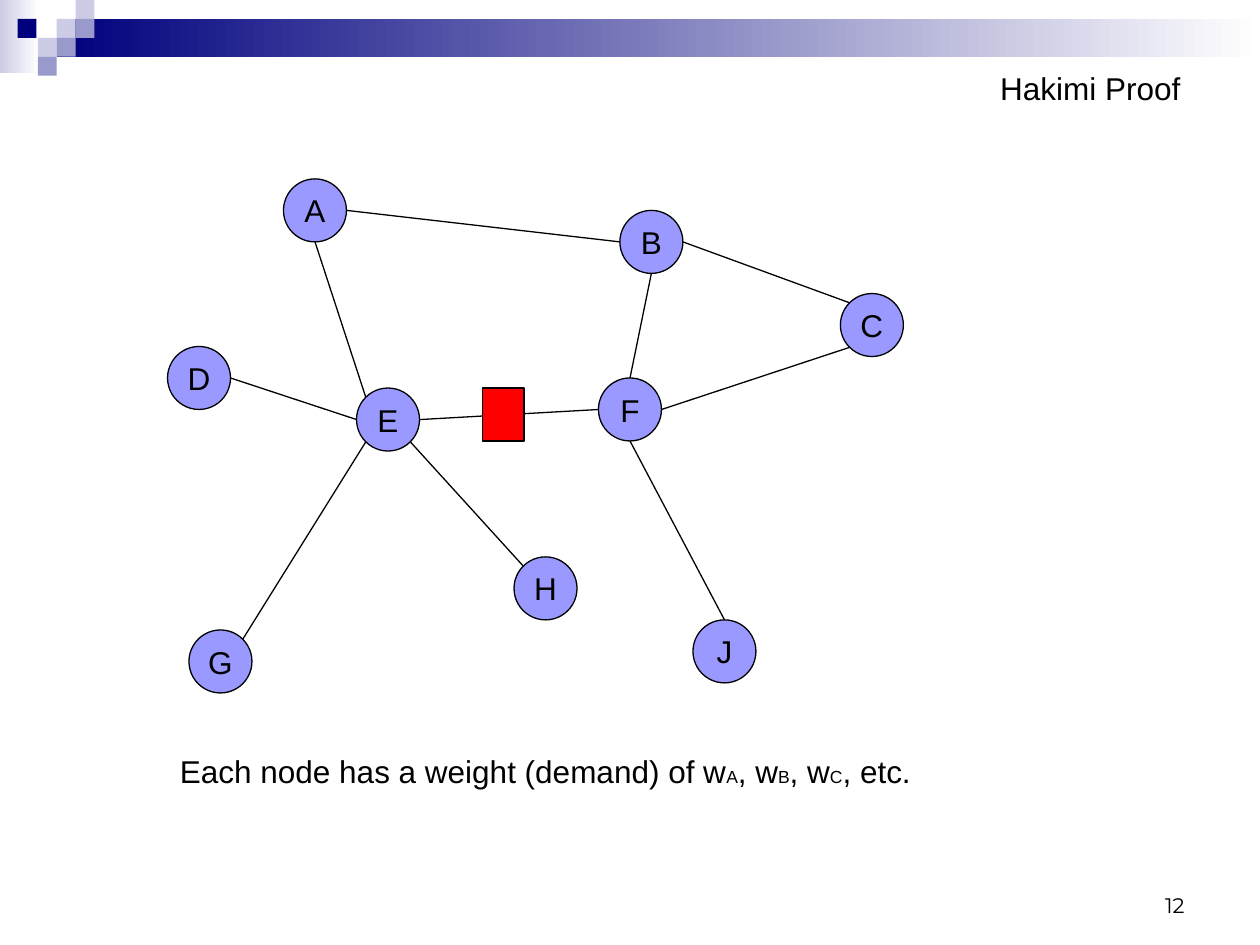
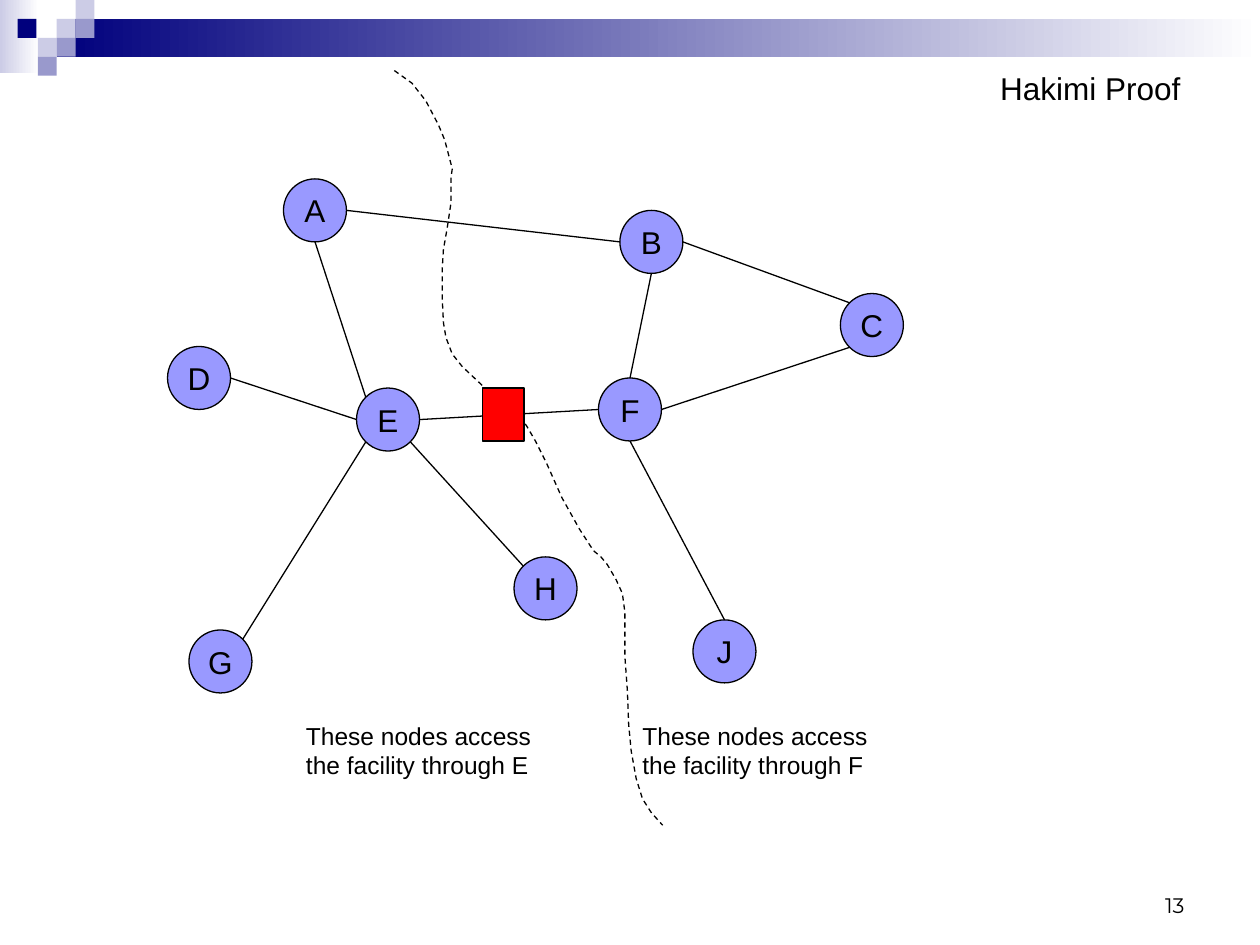
from math import cos, radians, sin

from pptx import Presentation
from pptx.dml.color import RGBColor
from pptx.enum.dml import MSO_LINE
from pptx.enum.shapes import MSO_CONNECTOR, MSO_SHAPE
from pptx.enum.text import MSO_ANCHOR, MSO_AUTO_SIZE, PP_ALIGN
from pptx.oxml.ns import qn
from pptx.util import Inches, Pt

BLACK = RGBColor(0x00, 0x00, 0x00)
WHITE = RGBColor(0xFF, 0xFF, 0xFF)
NAVY = RGBColor(0x00, 0x00, 0x7D)
MIST = RGBColor(0xCC, 0xCC, 0xE6)
SLATE = RGBColor(0x99, 0x99, 0xCC)
PERIWINKLE = RGBColor(0x99, 0x99, 0xFF)
RED = RGBColor(0xFF, 0x00, 0x00)

LINE_WIDTH = Pt(0.75)
TILE = 0.15
TILES = [
    (3, 1, MIST), (4, 0, MIST), (4, 1, SLATE), (2, 2, MIST),
    (0.93, 1, NAVY), (3, 2, SLATE), (2, 3, SLATE),
]

NETWORK_BOX = (1.33, 1.42)
NODE_SIZE = 0.5
NODES = {
    "A": (0.92, 0), "B": (3.59, 0.25), "C": (5.34, 0.91),
    "D": (0, 1.33), "E": (1.5, 1.66), "F": (3.42, 1.58),
    "G": (0.17, 3.58), "H": (2.75, 3), "J": (4.17, 3.5),
}
PORT_ANGLES = {
    "right": 0, "bottom right": 45, "bottom": 90, "bottom left": 135,
    "left": 180, "top left": 225, "top": 270, "top right": 315,
}
EDGES = [
    ("E", "right", "F", "left"),
    ("A", "right", "B", "left"),
    ("E", "top left", "A", "bottom"),
    ("E", "bottom left", "G", "top right"),
    ("E", "bottom right", "H", "top left"),
    ("F", "bottom", "J", "top"),
    ("F", "top", "B", "bottom"),
    ("C", "top left", "B", "right"),
    ("F", "right", "C", "bottom left"),
    ("E", "left", "D", "right"),
]

DIVIDER_BOX = (3.13, 0.56)
DIVIDER_POINTS = [
    (0, 0), (0.14, 0.1), (0.25, 0.24), (0.35, 0.43), (0.4, 0.55),
    (0.46, 0.78), (0.45, 0.85), (0.45, 1.05), (0.42, 1.25), (0.39, 1.42),
    (0.38, 1.58), (0.38, 1.8), (0.39, 2), (0.41, 2.12), (0.46, 2.25),
    (0.54, 2.35), (0.72, 2.52), (0.98, 2.73), (1.05, 2.82), (1.12, 2.94),
    (1.21, 3.12), (1.33, 3.39), (1.47, 3.64), (1.58, 3.81), (1.64, 3.86),
    (1.69, 3.92), (1.76, 4.04), (1.81, 4.15), (1.83, 4.3), (1.83, 4.65),
    (1.85, 4.92), (1.86, 5.19), (1.88, 5.4), (1.92, 5.62), (1.97, 5.78),
    (2.04, 5.89), (2.13, 5.99),
]

WEIGHT_NOTE = [
    ("Each node has a weight (demand) of w", 18), ("A", 10),
    (", w", 18), ("B", 10), (", w", 18), ("C", 10), (", etc.", 18),
]


def write_text(frame, spans, font="Arial", align=PP_ALIGN.LEFT,
               anchor=MSO_ANCHOR.TOP, wrap=True, grow=False):
    frame.word_wrap = wrap
    frame.vertical_anchor = anchor
    if grow:
        frame.auto_size = MSO_AUTO_SIZE.SHAPE_TO_FIT_TEXT
    para = frame.paragraphs[0]
    para.alignment = align
    for text, size in spans:
        span = para.add_run()
        span.text = text
        span.font.name = font
        span.font.size = Pt(size)
        span.font.color.rgb = BLACK


def add_text(page, box, spans, **style):
    label = page.shapes.add_textbox(*map(Inches, box))
    write_text(label.text_frame, spans, **style)


def add_block(shapes, kind, box, color, fade=False, outlined=False):
    block = shapes.add_shape(kind, *map(Inches, box))
    block.shadow.inherit = False
    if fade:
        block.fill.gradient()
        block.fill.gradient_angle = 0
        for stop, position, shade in zip(block.fill.gradient_stops, (0, 1), (color, WHITE)):
            stop.position = position
            stop.color.rgb = shade
    else:
        block.fill.solid()
        block.fill.fore_color.rgb = color
    if outlined:
        block.line.color.rgb = BLACK
        block.line.width = LINE_WIDTH
    else:
        block.line.fill.background()
    return block


def add_band(page):
    band = page.shapes.add_group_shape().shapes
    add_block(band, MSO_SHAPE.RECTANGLE, (0, 0, 0.31, 0.58), MIST, fade=True)
    add_block(band, MSO_SHAPE.RECTANGLE, (0.45, TILE, 9.55, 2 * TILE), NAVY, fade=True)
    for column, row, color in TILES:
        box = (column * TILE, row * TILE, TILE, TILE)
        add_block(band, MSO_SHAPE.RECTANGLE, box, color)


def find_port(box, node, side):
    radius = NODE_SIZE / 2
    angle = radians(PORT_ANGLES[side])
    x, y = NODES[node]
    return (Inches(box[0] + x + radius + radius * cos(angle)),
            Inches(box[1] + y + radius + radius * sin(angle)))


def add_network(page, box):
    network = page.shapes.add_group_shape().shapes
    left, top = box
    for name, (x, y) in NODES.items():
        node = add_block(network, MSO_SHAPE.OVAL,
                         (left + x, top + y, NODE_SIZE, NODE_SIZE),
                         PERIWINKLE, outlined=True)
        write_text(node.text_frame, [(name, 18)], align=PP_ALIGN.CENTER,
                   anchor=MSO_ANCHOR.MIDDLE, wrap=False)
    for start, start_side, end, end_side in EDGES:
        edge = network.add_connector(
            MSO_CONNECTOR.STRAIGHT,
            *find_port(box, start, start_side), *find_port(box, end, end_side))
        edge.line.color.rgb = BLACK
        edge.line.width = LINE_WIDTH
        properties = edge._element.spPr
        properties.append(properties.makeelement(qn("a:effectLst"), {}))


def add_divider(page, box):
    points = [(Inches(box[0] + x), Inches(box[1] + y)) for x, y in DIVIDER_POINTS]
    builder = page.shapes.build_freeform(*points[0])
    builder.add_line_segments(points[1:], close=False)
    divider = builder.convert_to_shape()
    divider.shadow.inherit = False
    divider.fill.background()
    divider.line.color.rgb = BLACK
    divider.line.width = LINE_WIDTH
    divider.line.dash_style = MSO_LINE.DASH


def add_facility(page):
    add_block(page.shapes, MSO_SHAPE.RECTANGLE, (3.83, 3.08, 0.33, 0.42), RED, outlined=True)


def add_proof_page(deck, number):
    page = deck.slides.add_slide(deck.slide_layouts[6])
    add_band(page)
    add_text(page, (7.17, 6.83, 2.33, 0.5), [(str(number), 12)], font="Montserrat",
             align=PP_ALIGN.RIGHT, anchor=MSO_ANCHOR.BOTTOM)
    add_text(page, (7.84, 0.5, 1.63, 0.4), [("Hakimi Proof", 18)], wrap=False, grow=True)
    add_network(page, NETWORK_BOX)
    return page


def add_weights_page(deck):
    page = add_proof_page(deck, 12)
    add_facility(page)
    add_text(page, (1.33, 5.92, 6.42, 0.4), WEIGHT_NOTE, grow=True)


def add_access_page(deck):
    page = add_proof_page(deck, 13)
    add_divider(page, DIVIDER_BOX)
    for node, left in (("F", 5), ("E", 2.33)):
        note = f"These nodes access the facility through {node}"
        add_text(page, (left, 5.67, 2.25, 0.57), [(note, 14)], grow=True)
    add_facility(page)


def main():
    deck = Presentation()
    deck.slide_width = Inches(10)
    deck.slide_height = Inches(7.5)
    add_weights_page(deck)
    add_access_page(deck)
    deck.save("out.pptx")


if __name__ == "__main__":
    main()
